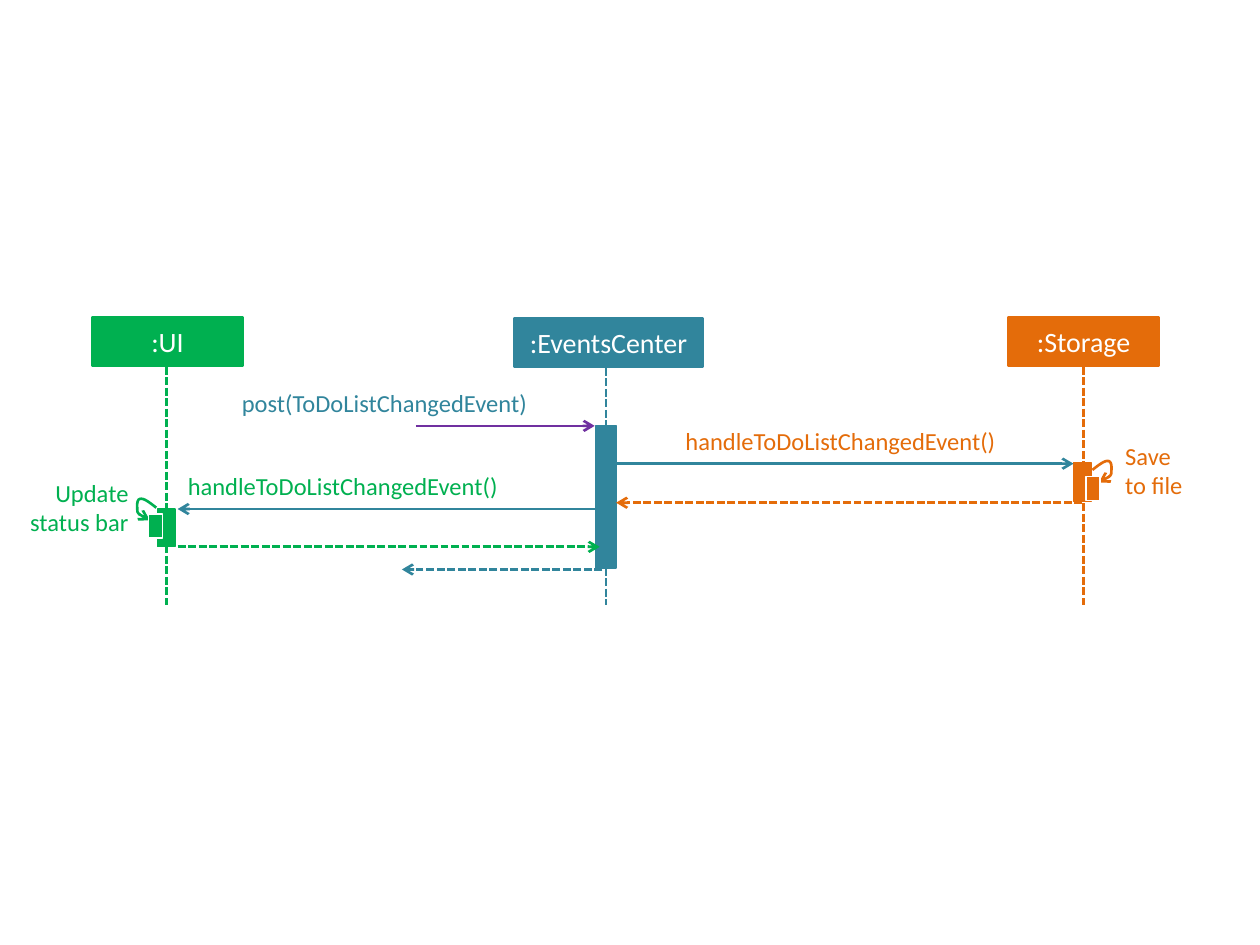
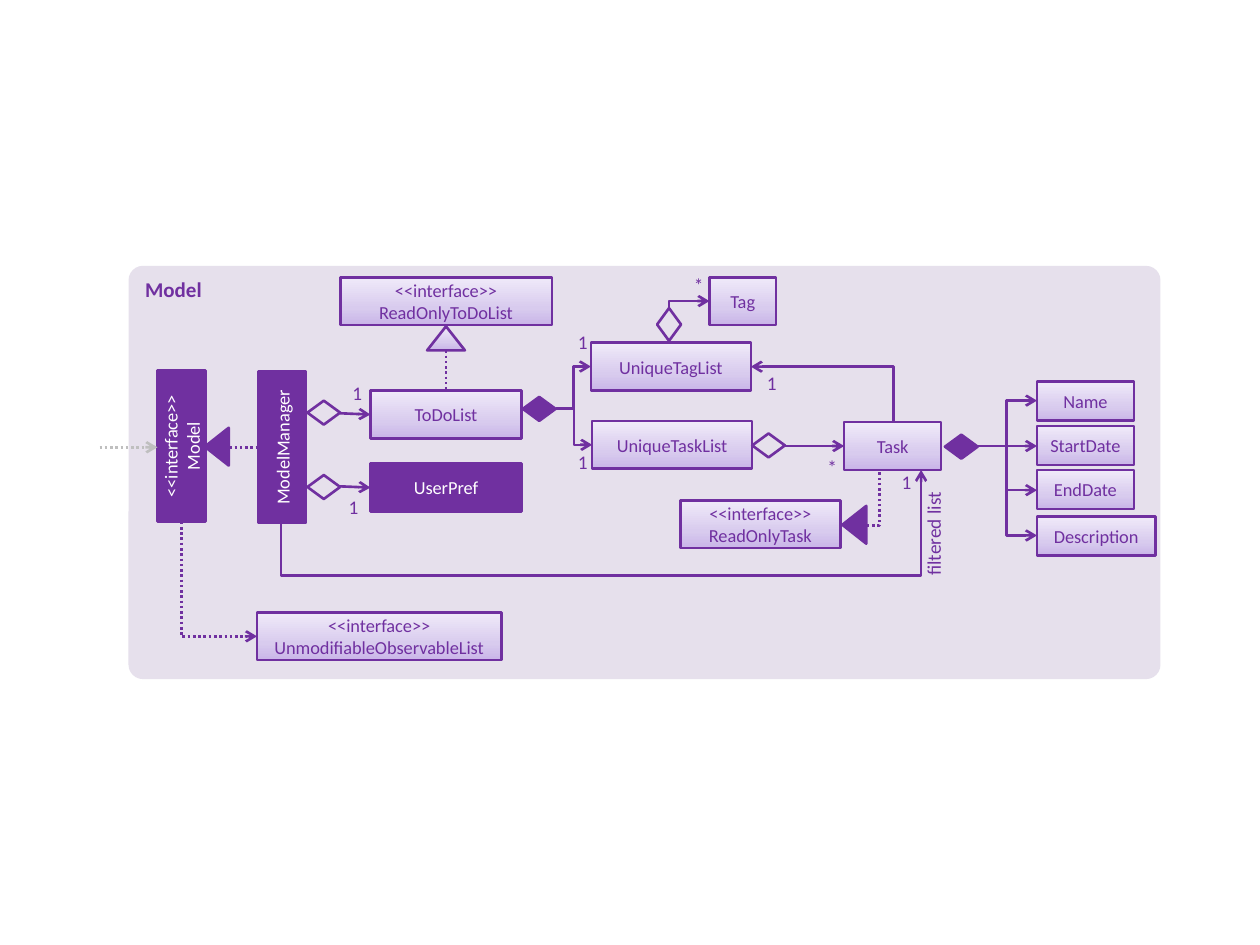
"""Build two UML slides: a sequence diagram and a class diagram."""
from copy import deepcopy

from lxml import etree
from pptx import Presentation
from pptx.dml.color import RGBColor
from pptx.enum import dml, shapes, text
from pptx.oxml.ns import qn
from pptx.util import Inches, Pt

WHITE = RGBColor(0xFF, 0xFF, 0xFF)
GREEN = RGBColor(0x00, 0xB0, 0x50)
TEAL = RGBColor(0x31, 0x85, 0x9C)
ORANGE = RGBColor(0xE4, 0x6C, 0x0A)
PURPLE = RGBColor(0x70, 0x30, 0xA0)
LAVENDER = RGBColor(0xE6, 0xE0, 0xEC)
GREY = RGBColor(0xBF, 0xBF, 0xBF)
LILAC_STOPS = [(0, RGBColor(0xC9, 0xB5, 0xE8)),
               (0.35, RGBColor(0xD8, 0xCB, 0xEE)),
               (1, RGBColor(0xF0, 0xEA, 0xF9))]
LILAC = "lilac gradient"

KIND = shapes.MSO_SHAPE
ALIGN = text.PP_ALIGN
DASH = dml.MSO_LINE.SQUARE_DOT
DOT = dml.MSO_LINE.ROUND_DOT


def bezier(start, first, second, end, steps=8):
    """Return points along a cubic curve, without its start."""
    points = []
    for step in range(1, steps + 1):
        t = step / steps
        weights = ((1 - t) ** 3, 3 * t * (1 - t) ** 2, 3 * t * t * (1 - t), t ** 3)
        points.append(tuple(
            sum(w * p[axis] for w, p in zip(weights, (start, first, second, end)))
            for axis in (0, 1)))
    return points


class Diagram:
    """Draws diagram elements, measured in inches, on the current slide."""

    font = "Calibri"
    weight = 1.5

    def __init__(self, deck):
        self.deck = deck
        self.page = None

    def new_page(self):
        """Start an empty slide."""
        self.page = self.deck.slides.add_slide(self.deck.slide_layouts[6])

    def set_text(self, frame, words, size, color, align, bold=False):
        """Put styled text in a text frame."""
        frame.word_wrap = True
        frame.text = words
        for para in frame.paragraphs:
            para.alignment = align
            for span in para.runs:
                span.font.name = self.font
                span.font.size = Pt(size)
                span.font.bold = bold
                span.font.color.rgb = color

    def paint(self, shape, fill):
        """Fill a shape with a colour, the lilac gradient or nothing."""
        if fill is None:
            shape.fill.background()
        elif fill == LILAC:
            shape.fill.gradient()
            shape.fill.gradient_angle = 90
            stops = shape.element.spPr.find(".//" + qn("a:gsLst"))
            stops.append(deepcopy(stops[0]))
            for stop, (position, color) in zip(shape.fill.gradient_stops, LILAC_STOPS):
                stop.position = position
                stop.color.rgb = color
        else:
            shape.fill.solid()
            shape.fill.fore_color.rgb = fill

    def stroke(self, shape, color, dash=None, arrow=False, weight=weight):
        """Style an outline or line, with an optional arrow at its end."""
        shape.line.color.rgb = color
        shape.line.width = Pt(weight)
        if dash:
            shape.line.dash_style = dash
        if arrow:
            line = shape.element.spPr.find(qn("a:ln"))
            etree.SubElement(line, qn("a:tailEnd"), type="arrow")

    def shape(self, kind, left, top, width, height, fill, line=None,
              weight=weight, turn=0):
        """Add a preset shape."""
        box = self.page.shapes.add_shape(
            kind, Inches(left), Inches(top), Inches(width), Inches(height))
        box.shadow.inherit = False
        box.rotation = turn
        self.paint(box, fill)
        if line is None:
            box.line.fill.background()
        else:
            self.stroke(box, line, weight=weight)
        return box

    def box(self, words, left, top, width, height=0.38, fill=LILAC,
            line=PURPLE, color=PURPLE, size=10.5, turn=0):
        """Add a rectangle with a centred name."""
        box = self.shape(KIND.RECTANGLE, left, top, width, height, fill, line, turn=turn)
        frame = box.text_frame
        frame.margin_left = frame.margin_right = Inches(0.05)
        frame.vertical_anchor = text.MSO_ANCHOR.MIDDLE
        self.set_text(frame, words, size, color, ALIGN.CENTER)

    def label(self, words, left, top, width, height, color, size=14,
              align=ALIGN.LEFT, turn=0, inset=(0, 0)):
        """Add free-standing text."""
        box = self.page.shapes.add_textbox(
            Inches(left), Inches(top), Inches(width), Inches(height))
        box.rotation = turn
        frame = box.text_frame
        frame.margin_left = frame.margin_right = Inches(inset[0])
        frame.margin_top = frame.margin_bottom = Inches(inset[1])
        self.set_text(frame, words, size, color, align)

    def connect(self, kind, start, end, color, dash, arrow):
        """Add a connector without a shadow."""
        line = self.page.shapes.add_connector(
            kind, *(Inches(value) for value in (*start, *end)))
        self.stroke(line, color, dash, arrow)
        etree.SubElement(line.element.spPr, qn("a:effectLst"))
        return line

    def line(self, start, end, color=PURPLE, dash=None, arrow=True):
        """Add a straight line."""
        self.connect(shapes.MSO_CONNECTOR.STRAIGHT, start, end, color, dash, arrow)

    def elbow(self, start, end, bends=3, upright=False, color=PURPLE,
              dash=None, arrow=True, adjust=()):
        """Add a bent connector; an upright one leaves its start vertically."""
        if upright:
            middle = [(a + b) / 2 for a, b in zip(start, end)]
            start, end = [(middle[0] + y - middle[1], middle[1] - x + middle[0])
                          for x, y in (start, end)]
        line = self.connect(shapes.MSO_CONNECTOR.ELBOW, start, end, color, dash, arrow)
        properties = line.element.spPr
        if upright:
            properties.find(qn("a:xfrm")).set("rot", "5400000")
        geometry = properties.find(qn("a:prstGeom"))
        geometry.set("prst", f"bentConnector{bends}")
        guides = geometry.find(qn("a:avLst"))
        for number, value in enumerate(adjust, 1):
            etree.SubElement(guides, qn("a:gd"), name=f"adj{number}",
                             fmla=f"val {round(value * 100000)}")

    def lifeline(self, name, left, top, width, axis, color):
        """Add a participant and its dashed lifeline."""
        self.box(name, left, top, width, fill=color, line=color, color=WHITE, size=16)
        self.line((axis, top + 0.39), (axis, 4.8), color, DASH, arrow=False)

    def activation(self, left, top, width, height, color):
        """Add an activation bar."""
        self.shape(KIND.RECTANGLE, left, top, width, height, color, color, 0.75)

    def self_call(self, x, y, side, color):
        """Add a looping arrow from (x, y) and its bar; side is -1 or 1."""
        curve = [(0, 0), (0.05, -0.04), (0.10, -0.08), (0.13, -0.07),
                 (0.16, -0.06), (0.15, 0), (0.15, 0.03),
                 (0.14, 0.06), (0.09, 0.08), (0.05, 0.10)]
        points = [curve[0]]
        for index in range(0, 9, 3):
            points += bezier(*curve[index:index + 4])
        places = [(Inches(x + side * a), Inches(y + b)) for a, b in points]
        builder = self.page.shapes.build_freeform(*places[0], scale=1.0)
        builder.add_line_segments(places[1:], close=False)
        loop = builder.convert_to_shape()
        loop.shadow.inherit = False
        self.paint(loop, None)
        self.stroke(loop, color, arrow=True)
        self.shape(KIND.RECTANGLE, x + side * 0.005 - 0.055, y + 0.05, 0.11, 0.19,
                   color, WHITE, 0.75)

    def diamond(self, left, top, fill=None, turn=0):
        """Add an aggregation (hollow) or composition (filled) diamond."""
        self.shape(KIND.FLOWCHART_DECISION, left, top, 0.26, 0.19, fill, PURPLE, turn=turn)

    def triangle(self, left, top, fill=PURPLE, turn=270):
        """Add a realization triangle."""
        self.shape(KIND.ISOSCELES_TRIANGLE, left, top, 0.3, 0.19, fill, PURPLE, turn=turn)


def draw_sequence(art):
    """Draw how a change event reaches the UI and the storage."""
    art.new_page()
    art.lifeline(":Storage", 8, 2.52, 1.2, 8.6, ORANGE)
    art.lifeline(":EventsCenter", 4.08, 2.53, 1.5, 4.81, TEAL)
    art.lifeline(":UI", 0.73, 2.52, 1.2, 1.32, GREEN)

    art.activation(8.52, 3.67, 0.14, 0.31, ORANGE)
    art.activation(4.73, 3.38, 0.16, 1.13, TEAL)
    art.activation(1.25, 4.04, 0.14, 0.3, GREEN)

    for start, end, y, color, dash in [
            (3.3, 4.72, 3.38, PURPLE, None),
            (4.89, 8.52, 3.68, TEAL, None),
            (8.59, 4.89, 3.99, ORANGE, DASH),
            (4.76, 1.41, 4.04, TEAL, None),
            (1.41, 4.76, 4.34, GREEN, DASH),
            (4.78, 3.19, 4.52, TEAL, DASH)]:
        art.line((start, y), (end, y), color, dash)

    art.self_call(1.24, 4.03, -1, GREEN)
    art.self_call(8.67, 3.73, 1, ORANGE)

    art.label("post(ToDoListChangedEvent)", 1.92, 3.08, 2.97, 0.24, TEAL)
    art.label("handleToDoListChangedEvent()", 5.44, 3.38, 2.91, 0.24, ORANGE)
    art.label("handleToDoListChangedEvent()", 1.49, 3.74, 2.91, 0.24, GREEN)
    art.label("Update status bar", 0.15, 3.79, 0.87, 0.47, GREEN, align=ALIGN.RIGHT)
    art.label("Save\vto file", 8.93, 3.5, 0.59, 0.47, ORANGE)


def draw_classes(art):
    """Draw the classes of the model component."""
    art.new_page()
    panel = art.shape(KIND.ROUNDED_RECTANGLE, 1.02, 2.11, 8.19, 3.28, LAVENDER)
    panel.adjustments[0] = 0.035
    panel.text_frame.vertical_anchor = text.MSO_ANCHOR.TOP
    art.set_text(panel.text_frame, "Model", 12, PURPLE, ALIGN.LEFT, bold=True)

    for name, left, top, turn in [
            ("UserPref", 2.94, 3.68, 0),
            ("ModelManager", 1.64, 3.36, 270),
            ("<<interface>>\nModel", 0.84, 3.35, 270)]:
        art.box(name, left, top, 1.2, fill=PURPLE, color=WHITE, turn=turn)
    for name, left, top, width in [
            ("ToDoList", 2.94, 3.1, 1.2),
            ("UniqueTaskList", 4.7, 3.34, 1.27),
            ("UniqueTagList", 4.69, 2.72, 1.27),
            ("Task", 6.7, 3.35, 0.77),
            ("Tag", 5.63, 2.2, 0.53),
            ("<<interface>>\vReadOnlyTask", 5.4, 3.97, 1.27),
            ("<<interface>>\vReadOnlyToDoList", 2.7, 2.2, 1.68),
            ("<<interface>>\vUnmodifiableObservableList", 2.04, 4.86, 1.94)]:
        art.box(name, left, top, width)

    for name, top, width, y in [
            ("Name", 3.03, 0.77, 3.18), ("StartDate", 3.38, 0.77, 3.54),
            ("EndDate", 3.73, 0.77, 3.89), ("Description", 4.1, 0.94, 4.25)]:
        art.box(name, 8.23, top, width, 0.31)
        art.elbow((7.75, 3.54), (8.23, y))

    art.line((2.7, 3.86), (2.94, 3.87))
    art.line((2.7, 3.28), (2.94, 3.29))
    art.line((1.82, 3.55), (2.05, 3.55), dash=DOT, arrow=False)
    art.elbow((0.79, 3.55), (1.25, 3.55), color=GREY, dash=DOT)
    art.elbow((4.41, 3.24), (4.7, 3.53))
    art.elbow((4.41, 3.24), (4.69, 2.91))
    art.elbow((6.22, 3.54), (6.7, 3.54))
    art.elbow((6.88, 4.17), (6.98, 3.72), bends=2, dash=DOT, arrow=False)
    art.elbow((3.54, 2.78), (3.54, 3.1), upright=True, dash=DOT, arrow=False)
    art.elbow((5.31, 2.45), (5.63, 2.39), bends=2, upright=True)
    art.elbow((1.44, 4.14), (2.04, 5.05), bends=2, upright=True, dash=DOT)
    art.elbow((7.09, 3.35), (5.96, 2.91), bends=2, upright=True)
    art.elbow((2.23, 4.15), (7.31, 3.73), bends=4, upright=True, adjust=(-1, 1))

    for left, top in [(2.44, 3.77), (2.44, 3.18), (5.97, 3.44)]:
        art.diamond(left, top)
    art.diamond(5.18, 2.48, turn=270)
    art.diamond(4.15, 3.15, PURPLE)
    art.diamond(7.5, 3.45, PURPLE)
    art.triangle(1.57, 3.45)
    art.triangle(6.63, 4.07)
    art.triangle(3.39, 2.59, LILAC, turn=0)

    art.label("filtered list", 6.93, 4.14, 0.96, 0.29, PURPLE, 11,
              ALIGN.RIGHT, 270, inset=(0.1, 0.05))
    for mark, left, top in [
            ("1", 4.52, 2.62), ("1", 4.52, 3.57), ("1", 6.02, 2.95),
            ("*", 5.44, 2.17), ("*", 6.5, 3.61), ("1", 2.73, 3.03),
            ("1", 2.7, 3.93), ("1", 7.09, 3.73)]:
        art.label(mark, left, top, 0.21, 0.2, PURPLE, 11, ALIGN.CENTER)


deck = Presentation()
deck.slide_width, deck.slide_height = Inches(10), Inches(7.5)
diagram = Diagram(deck)
draw_sequence(diagram)
draw_classes(diagram)
deck.save("out.pptx")
